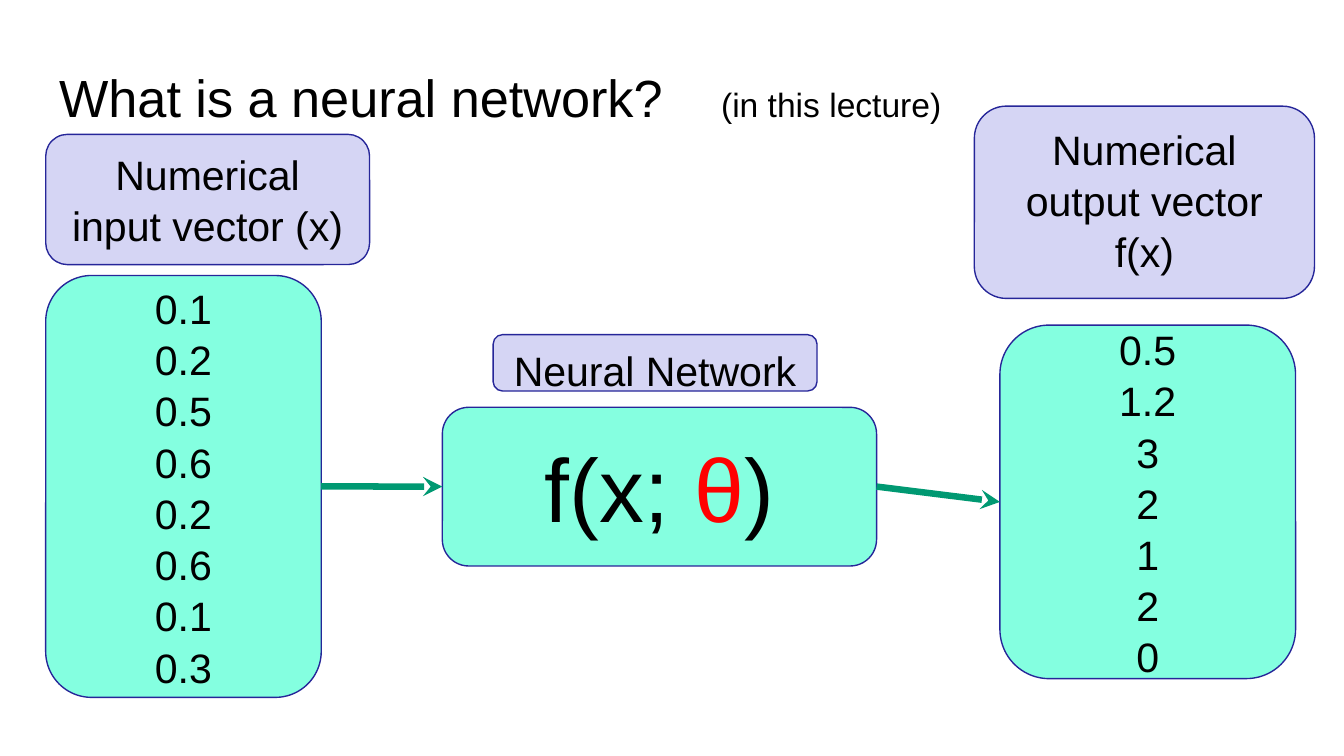
from pptx import Presentation
from pptx.dml.color import RGBColor
from pptx.enum.shapes import MSO_CONNECTOR as Connector, MSO_SHAPE as Shape
from pptx.enum.text import MSO_ANCHOR as Anchor, MSO_AUTO_SIZE as AutoSize, PP_ALIGN as Align
from pptx.oxml.ns import qn
from pptx.util import Pt
from lxml.etree import SubElement

COLORS = {
    "text": "000000",
    "theta": "FF0000",
    "values": "84FFE0",
    "network": "85FFE0",
    "label": "D5D5F4",
    "border": "262699",
    "arrow": "009972",
}
LEFT_SITE, RIGHT_SITE = 1, 3


def color(name):
    return RGBColor.from_string(COLORS[name])


class Diagram:
    """Holds the slide and the common style of its elements."""

    font_name = "Arial"
    body_size = 22
    line_spacing = 1.04

    def __init__(self, slide):
        self.slide = slide

    def style_run(self, run, size, tint="text"):
        run.font.name = self.font_name
        run.font.size = Pt(size)
        run.font.color.rgb = color(tint)

    def title(self, heading, remark, bounds, remark_stop):
        """Set the title, with a smaller remark at a tab stop (in points)."""
        holder = self.slide.shapes.title
        holder.left, holder.top, holder.width, holder.height = map(Pt, bounds)
        frame = holder.text_frame
        frame.auto_size = AutoSize.NONE
        frame.vertical_anchor = Anchor.TOP
        frame.margin_top = frame.margin_bottom = Pt(7.2)
        paragraph = frame.paragraphs[0]
        paragraph.alignment = Align.LEFT
        paragraph.line_spacing = self.line_spacing
        stops = SubElement(paragraph._p.get_or_add_pPr(), qn("a:tabLst"))
        SubElement(stops, qn("a:tab"), pos=str(Pt(remark_stop)), algn="l")
        for text, size in ((heading + "\t", 28), (remark, 18)):
            run = paragraph.add_run()
            run.text = text
            self.style_run(run, size)

    def box(self, bounds, fill, anchor=Anchor.MIDDLE):
        box = self.slide.shapes.add_shape(Shape.ROUNDED_RECTANGLE, *map(Pt, bounds))
        box.shadow.inherit = False
        box.fill.solid()
        box.fill.fore_color.rgb = color(fill)
        box.line.color.rgb = color("border")
        box.line.width = Pt(0.75)
        box.text_frame.word_wrap = True
        box.text_frame.vertical_anchor = anchor
        return box

    def set_body(self, box, text):
        box.text_frame.text = text
        for paragraph in box.text_frame.paragraphs:
            paragraph.alignment = Align.CENTER
            paragraph.line_spacing = self.line_spacing
            self.style_run(paragraph.runs[0], self.body_size)

    def vector(self, values, bounds):
        box = self.box(bounds, "values")
        self.set_body(box, "\n".join(values))
        return box

    def label(self, text, bounds):
        self.set_body(self.box(bounds, "label", Anchor.TOP), text)

    def formula(self, parts, bounds):
        """Draw the network box; parts are (text, colour name) pairs."""
        box = self.box(bounds, "network")
        paragraph = box.text_frame.paragraphs[0]
        paragraph.alignment = Align.CENTER
        for text, tint in parts:
            run = paragraph.add_run()
            run.text = text
            self.style_run(run, 48, tint)
        return box

    def arrow(self, source, target):
        arrow = self.slide.shapes.add_connector(Connector.STRAIGHT, 0, 0, 0, 0)
        arrow.begin_connect(source, RIGHT_SITE)
        arrow.end_connect(target, LEFT_SITE)
        arrow.line.color.rgb = color("arrow")
        arrow.line.width = Pt(3.5)
        SubElement(arrow.line._get_or_add_ln(), qn("a:tailEnd"), type="stealth")
        SubElement(arrow._element.spPr, qn("a:effectLst"))


def main():
    deck = Presentation()
    deck.slide_width, deck.slide_height = Pt(720), Pt(405)
    diagram = Diagram(deck.slides.add_slide(deck.slide_layouts[5]))

    diagram.title("What is a neural network?", "(in this lecture)",
                  (24.5, 26.6, 671, 33.8), remark_stop=354.6)

    inputs = diagram.vector(["0.1", "0.2", "0.5", "0.6", "0.2", "0.6", "0.1", "0.3"],
                            (24.5, 147.6, 147.6, 226))
    network = diagram.formula([("f(x; ", "text"), ("θ", "theta"), (")", "text")],
                              (237, 218.2, 232.6, 85))
    outputs = diagram.vector(["0.5", "1.2", "3", "2", "1", "2", "0"],
                             (535.7, 174.2, 158.4, 189.4))
    diagram.arrow(inputs, network)
    diagram.arrow(network, outputs)

    diagram.label("Numerical input vector (x)", (24.5, 72, 173.5, 69.8))
    diagram.label("Numerical output vector f(x)", (522, 56.9, 182.2, 103))
    diagram.label("Neural Network", (264.2, 179.3, 173.5, 30.2))

    deck.save("out.pptx")


if __name__ == "__main__":
    main()
